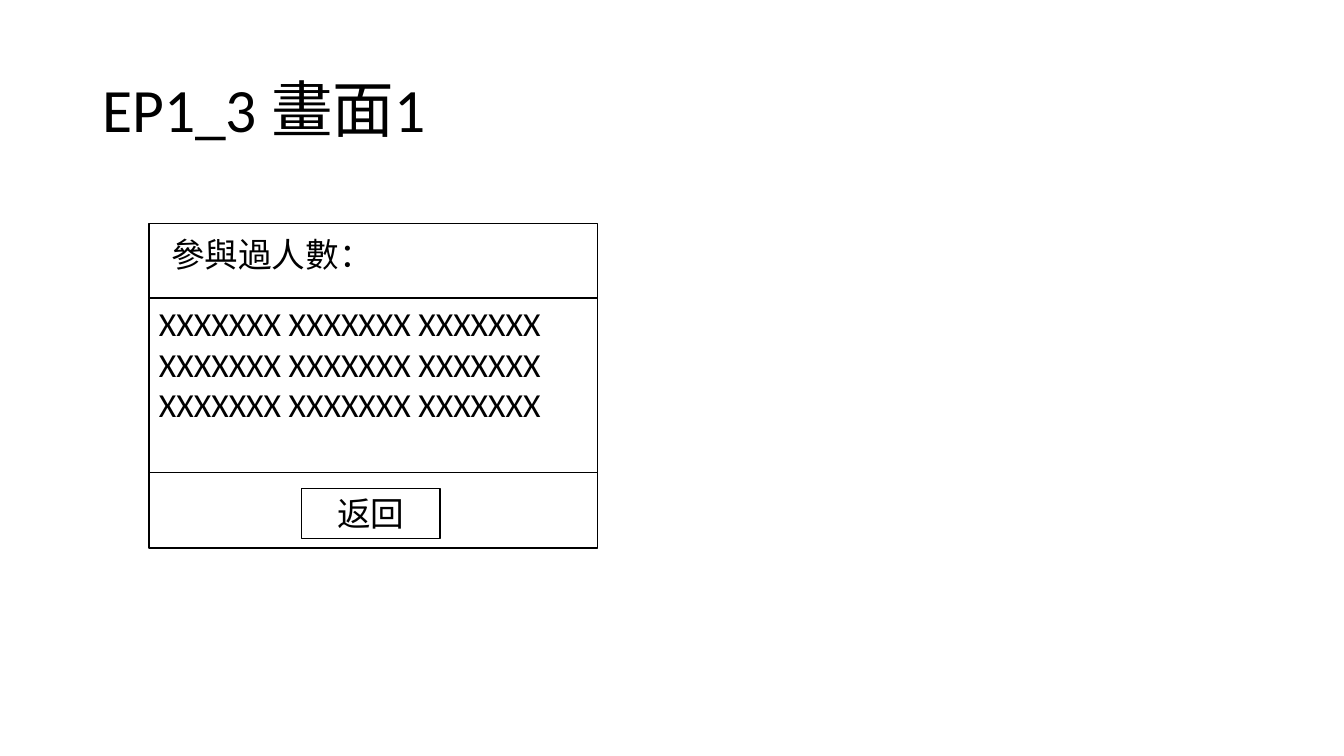
from dataclasses import dataclass

from pptx import Presentation
from pptx.dml.color import RGBColor
from pptx.enum.shapes import MSO_SHAPE as Preset
from pptx.enum.text import MSO_ANCHOR as Anchor, PP_ALIGN as Align
from pptx.slide import Slide
from pptx.util import Emu, Pt

PX = 9525  # EMU in one px, 96 px to the inch
BLACK = RGBColor(0x00, 0x00, 0x00)
WHITE = RGBColor(0xFF, 0xFF, 0xFF)
FONT = "Calibri"


@dataclass(frozen=True)
class Box:
    left: int
    top: int
    width: int
    height: int
    lines: tuple[str, ...] = ()
    size: int = 24
    align: Align = Align.LEFT
    anchor: Anchor = Anchor.TOP
    spacing: float = 1.0
    outlined: bool = True
    fill: RGBColor | None = None


TITLE = Box(88, 38, 1104, 139, ("EP1_3 畫面1",), size=44,
            anchor=Anchor.MIDDLE, spacing=0.9, outlined=False)
FRAME = Box(142, 213, 427, 309)
BACK_BUTTON = Box(287, 465, 132, 48, ("返回",), align=Align.CENTER,
                  anchor=Anchor.MIDDLE, fill=WHITE)
COUNT_LABEL = Box(143, 218, 232, 48, ("參與過人數：",),
                  align=Align.CENTER, outlined=False)
MESSAGE = Box(FRAME.left, 284, FRAME.width, 166,
              ("XXXXXXX XXXXXXX XXXXXXX",) * 3, fill=WHITE)


def draw_box(page: Slide, box: Box) -> None:
    """Draw a rectangle or a plain text box, with its lines of text."""
    place = [Emu(n * PX) for n in (box.left, box.top, box.width, box.height)]
    if box.outlined:
        shape = page.shapes.add_shape(Preset.RECTANGLE, *place)
        shape.shadow.inherit = False
        shape.line.color.rgb = BLACK
        shape.line.width = Pt(1)
        if box.fill is None:
            shape.fill.background()
        else:
            shape.fill.solid()
            shape.fill.fore_color.rgb = box.fill
    else:
        shape = page.shapes.add_textbox(*place)

    frame = shape.text_frame
    frame.word_wrap = True
    frame.vertical_anchor = box.anchor
    for number, line in enumerate(box.lines):
        para = frame.add_paragraph() if number else frame.paragraphs[0]
        para.alignment = box.align
        para.line_spacing = box.spacing
        span = para.add_run()
        span.text = line
        span.font.name = FONT
        span.font.size = Pt(box.size)
        span.font.color.rgb = BLACK


def main() -> None:
    deck = Presentation()
    deck.slide_width = Emu(1280 * PX)
    deck.slide_height = Emu(720 * PX)
    page = deck.slides.add_slide(deck.slide_layouts[6])

    # Title, then the dialog from back to front
    for box in (TITLE, FRAME, BACK_BUTTON, COUNT_LABEL, MESSAGE):
        draw_box(page, box)

    deck.save("out.pptx")


if __name__ == "__main__":
    main()
